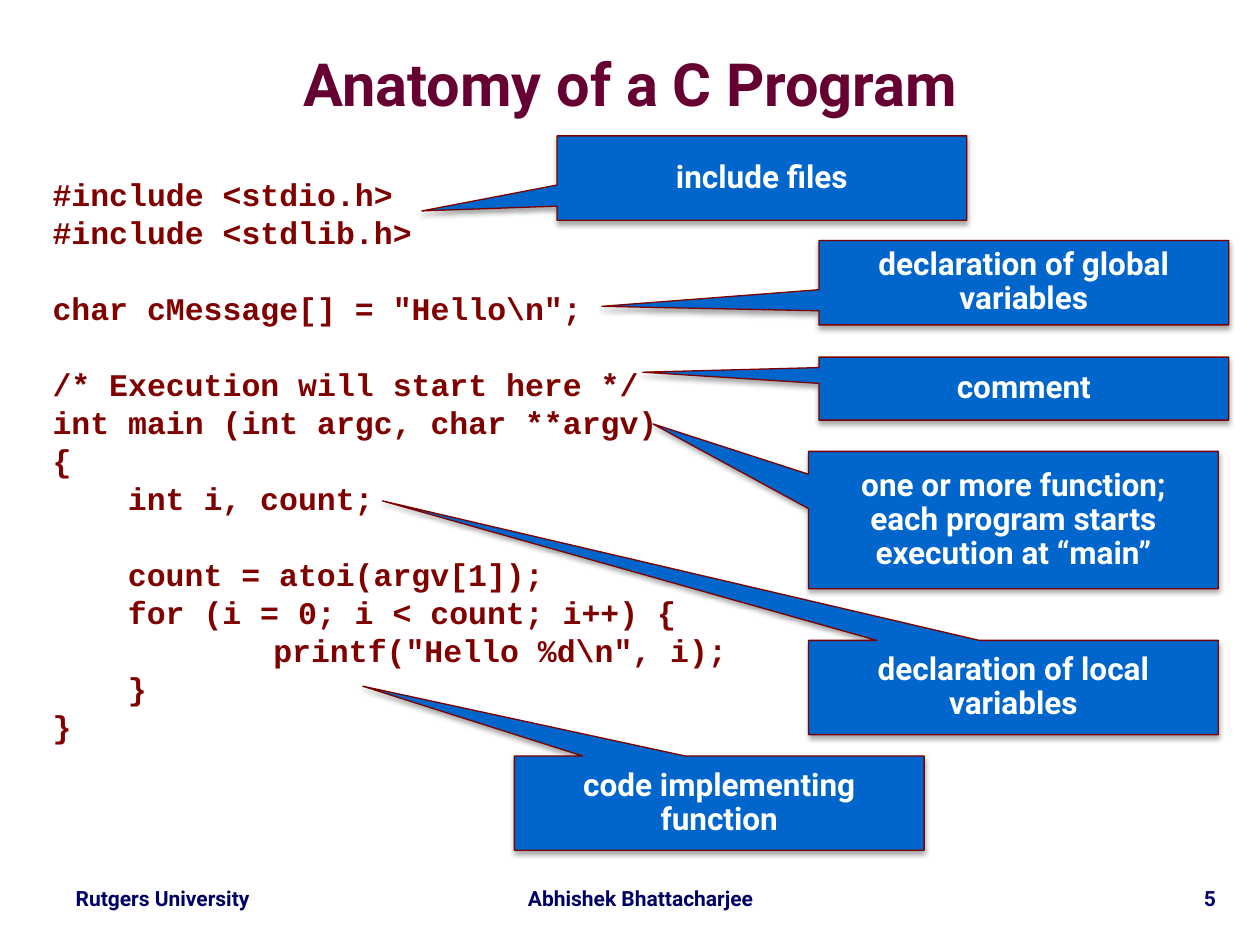
from lxml.etree import SubElement
from pptx import Presentation
from pptx.dml.color import RGBColor
from pptx.enum.shapes import MSO_SHAPE as Shape
from pptx.enum.text import MSO_ANCHOR as Anchor, PP_ALIGN as Align
from pptx.oxml.ns import qn
from pptx.util import Cm, Pt

NAVY = RGBColor(0x00, 0x00, 0x66)
PLUM = RGBColor(0x66, 0x00, 0x33)
MAROON = RGBColor(0x80, 0x00, 0x00)
OUTLINE = RGBColor(0x7D, 0x00, 0x00)
BLUE = RGBColor(0x00, 0x66, 0xCC)
WHITE = RGBColor(0xFF, 0xFF, 0xFF)


class Deck:
    font, code_font = "Roboto", "Courier New"
    code_pitch = Pt(21.7)
    callout_width = 8.26

    def __init__(self, prs):
        self.slide = prs.slides.add_slide(prs.slide_layouts[6])

    def style(self, p, size, color, font=None, align=Align.CENTER, spacing=0.9):
        p.alignment, p.line_spacing = align, spacing
        for r in p.runs:
            f = r.font
            f.name, f.size, f.bold = font or self.font, Pt(size), True
            f.color.rgb = color

    def box(self, x, y, w, h):
        tf = self.slide.shapes.add_textbox(Cm(x), Cm(y), Cm(w), Cm(h)).text_frame
        tf.word_wrap = True
        return tf

    def title(self, text, x, y, w, h):
        tf = self.box(x, y, w, h)
        tf.margin_left = tf.margin_right = tf.margin_top = tf.margin_bottom = 0
        tf.vertical_anchor = Anchor.MIDDLE
        tf.text = text
        self.style(tf.paragraphs[0], 34, PLUM, spacing=0.87)

    def footer(self, text, x, w, align=Align.CENTER):
        tf = self.box(x, 17.78, w, 0.72)
        tf.text = text
        self.style(tf.paragraphs[0], 12, NAVY, align=align)

    def code(self, blocks, x, y, w, h):
        """Each block is a list of (indent in cm, text); one line parts the blocks."""
        tf = self.box(x, y, w, h)
        tf.text = "\n".join(text for block in blocks for _, text in block)
        paragraphs = iter(tf.paragraphs)
        for b, block in enumerate(blocks):
            for i, (indent, _) in enumerate(block):
                p = next(paragraphs)
                self.style(p, 18, MAROON, self.code_font, Align.LEFT, self.code_pitch)
                p._p.get_or_add_pPr().set("marL", str(Cm(indent)))
                if b and i == 0:
                    p.space_before = self.code_pitch

    def callout(self, text, x, y, h, tip):
        sp = self.slide.shapes.add_shape(Shape.RECTANGULAR_CALLOUT, Cm(x), Cm(y),
                                         Cm(self.callout_width), Cm(h))
        sp.adjustments[0], sp.adjustments[1] = tip
        sp.fill.solid()
        sp.fill.fore_color.rgb = BLUE
        sp.line.color.rgb, sp.line.width = OUTLINE, Pt(0.75)
        self.shadow(sp)
        tf = sp.text_frame
        tf.word_wrap, tf.vertical_anchor = True, Anchor.MIDDLE
        tf.text = text
        for p in tf.paragraphs:
            self.style(p, 18, WHITE)

    def shadow(self, sp):
        sp.shadow.inherit = False
        effects = sp._element.spPr.find(qn("a:effectLst"))
        outer = SubElement(effects, qn("a:outerShdw"), blurRad=str(Pt(3.1)),
                           dist=str(Pt(1.8)), dir="5400000", rotWithShape="0")
        black = SubElement(outer, qn("a:srgbClr"), val="000000")
        SubElement(black, qn("a:alpha"), val="35000")


prs = Presentation()
prs.slide_width, prs.slide_height = Cm(25.4), Cm(19.05)
s = Deck(prs)

# Footer
s.footer("Rutgers University", 0.84, 4.88)
s.footer("Abhishek Bhattacharjee", 10.16, 5.51)
s.footer("5", 20.75, 4.01, Align.RIGHT)

# Title and program
s.title("Anatomy of a C Program", 0.79, 0.69, 23.85, 2.16)
BODY, LOOP = 1.52, 4.45
s.code([
    [(0, "#include <stdio.h>"), (0, "#include <stdlib.h>")],
    [(0, 'char cMessage[] = "Hello\\n";')],
    [(0, "/* Execution will start here */"),
     (0, "int main (int argc, char **argv)"),
     (0, "{"),
     (BODY, "int i, count;")],
    [(BODY, "count = atoi(argv[1]);"),
     (BODY, "for (i = 0; i < count; i++) {"),
     (LOOP, 'printf("Hello %d\\n", i);'),
     (BODY, "}"),
     (0, "}")],
], 0.81, 3.4, 23.95, 13.97)

# Callouts: text, left, top, height, tip relative to the centre
for callout in [
    ("include files", 11.23, 2.74, 1.7, (-0.83, 0.39)),
    ("declaration of global variables", 16.51, 4.85, 1.7, (-1.03, 0.28)),
    ("one or more function;\neach program starts execution at “main”",
     16.3, 9.1, 2.77, (-0.88, -0.7)),
    ("declaration of local variables", 16.3, 12.91, 1.9, (-1.54, -1.98)),
    ("code implementing function", 10.37, 15.24, 1.9, (-0.87, -1.24)),
    ("comment", 16.51, 7.2, 1.27, (-0.93, -0.26)),
]:
    s.callout(*callout)

prs.save("out.pptx")
